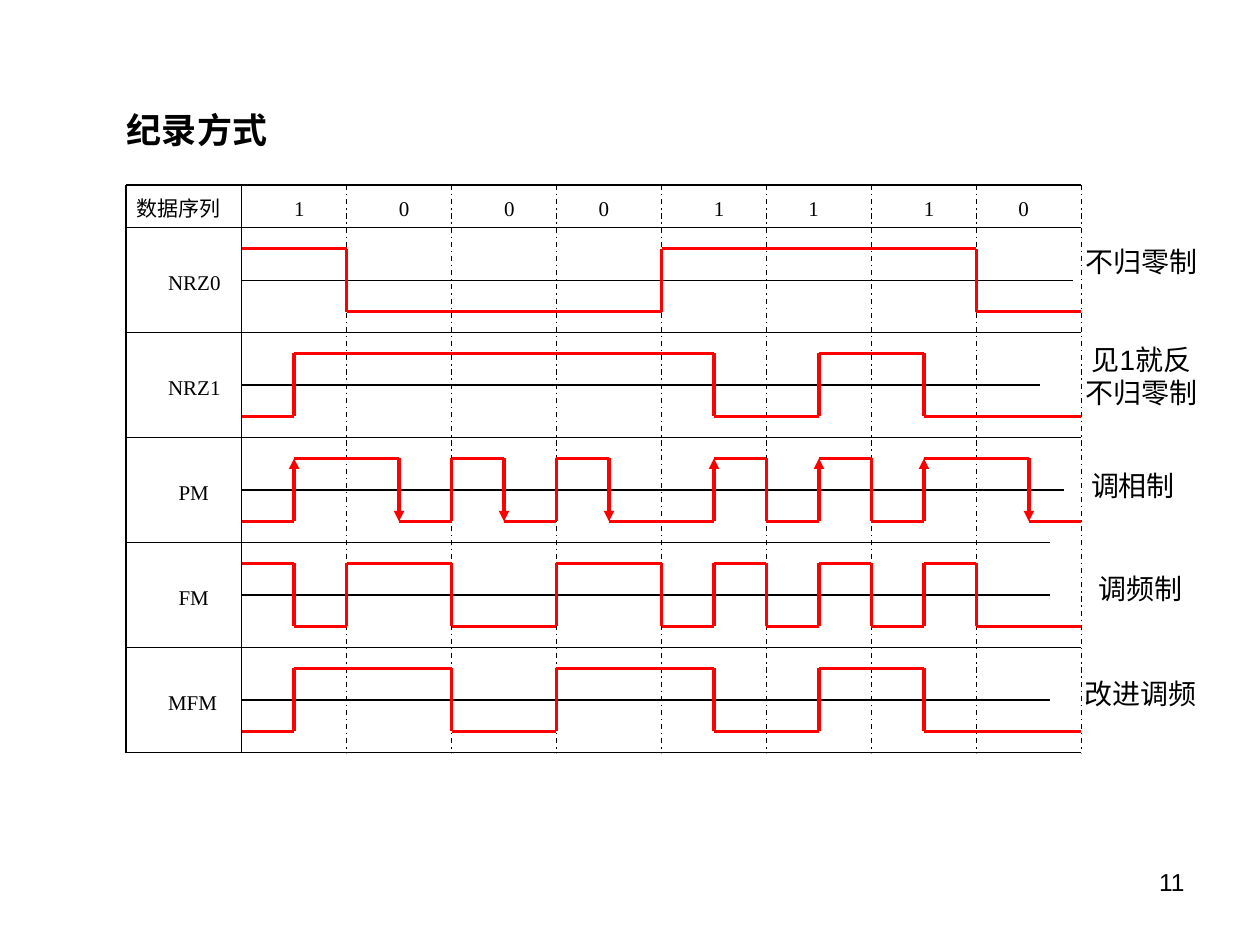
from itertools import groupby
from lxml.etree import SubElement
from pptx import Presentation
from pptx.dml.color import RGBColor
from pptx.enum.dml import MSO_LINE
from pptx.enum.shapes import MSO_CONNECTOR, MSO_SHAPE
from pptx.enum.text import MSO_ANCHOR, MSO_AUTO_SIZE, PP_ALIGN
from pptx.oxml.ns import qn
from pptx.util import Cm, Pt

BLACK = RGBColor(0, 0, 0)
RED = RGBColor(255, 0, 0)
WHITE = RGBColor(255, 255, 255)

LEFT, START, RIGHT = 2.54, 4.87, 21.8
TOP, HEADER_BOTTOM, BOTTOM = 3.73, 4.59, 15.17
HALF_BIT = (RIGHT - START) / 16
ROW = (BOTTOM - HEADER_BOTTOM) / 5
LEVELS = {"H": 0.42, "L": 1.69}
SHORT_END = 21.16

prs = Presentation()
prs.slide_width, prs.slide_height = Cm(25.4), Cm(19.05)
slide = prs.slides.add_slide(prs.slide_layouts[6])


def add_line(x1, y1, x2, y2, color=BLACK, width=0.75):
    line = slide.shapes.add_connector(
        MSO_CONNECTOR.STRAIGHT, Cm(x1), Cm(y1), Cm(x2), Cm(y2))
    line.line.color.rgb = color
    line.line.width = Pt(width)
    SubElement(line._element.spPr, qn("a:effectLst"))
    return line


def add_text(x, y, width, height, text, size, font, inset=True):
    box = slide.shapes.add_textbox(Cm(x), Cm(y), Cm(width), Cm(height))
    frame = box.text_frame
    frame.word_wrap = True
    frame.text = text
    paragraph = frame.paragraphs[0]
    paragraph.font.size = Pt(size)
    paragraph.font.name = font
    paragraph.font.color.rgb = BLACK
    if not inset:
        frame.margin_left = frame.margin_right = 0
        frame.margin_top = frame.margin_bottom = 0
        frame.auto_size = MSO_AUTO_SIZE.SHAPE_TO_FIT_TEXT
        paragraph.space_before = Pt(7.5)
    return frame


heading = add_text(2.31, 2.06, 3.33, 1.12, "纪录方式", 20, "Arial")
heading.word_wrap = False
heading.auto_size = MSO_AUTO_SIZE.SHAPE_TO_FIT_TEXT
heading.paragraphs[0].font.bold = True

for x in (LEFT, START):
    add_line(x, TOP, x, BOTTOM)
for bit in range(1, 9):
    x = START + 2 * bit * HALF_BIT
    add_line(x, TOP, x, BOTTOM).line.dash_style = MSO_LINE.DASH_DOT

add_line(LEFT, TOP, RIGHT, TOP)
for row in range(6):
    y = HEADER_BOTTOM + row * ROW
    add_line(LEFT, y, SHORT_END if row == 3 else RIGHT, y)

encodings = [
    ("NRZ0", 3.39, 1.07, "HHLLLLLLHHHHHHLL", 21.64, "不归零制", 22.4, 5.13),
    ("NRZ1", 3.39, 1.27, "LHHHHHHHHLLHHLLL", 20.96, "见1就反\n不归零制", 22.4, 7.44),
    ("PM", 3.6, 0.85, "LHHLHLHLLHLHLHHL", 21.44, "调相制", 22.23, 9.65),
    ("FM", 3.6, 0.64, "HLHHLLHHLHLHLHLL", SHORT_END, "调频制", 22.38, 11.73),
    ("MFM", 3.39, 1.07, "LHHHLLHHHLLHHLLL", SHORT_END, "改进调频", 22.38, 13.84),
]
for row, (name, name_x, name_width, wave, axis_end, meaning, meaning_x, meaning_y) in enumerate(encodings):
    row_top = HEADER_BOTTOM + row * ROW
    add_line(START, row_top + ROW / 2, axis_end, row_top + ROW / 2)
    high, low = row_top + LEVELS["H"], row_top + LEVELS["L"]
    position = 0
    for level, run in groupby(wave):
        x = START + position * HALF_BIT
        if position:
            edge = add_line(x, high, x, low, RED, 2)
            if name == "PM" and position % 2:
                arrow = "a:headEnd" if level == "H" else "a:tailEnd"
                SubElement(edge.line._get_or_add_ln(), qn(arrow), type="triangle")
        position += len(list(run))
        y = row_top + LEVELS[level]
        add_line(x, y, START + position * HALF_BIT, y, RED, 2)

    add_text(name_x, row_top + 0.85, name_width, 0.51, name, 12, "Times New Roman", False)

    label = slide.shapes.add_shape(
        MSO_SHAPE.RECTANGLE, Cm(meaning_x), Cm(meaning_y), Cm(1.22), Cm(0.28))
    label.shadow.inherit = False
    label.fill.solid()
    label.fill.fore_color.rgb = WHITE
    label.line.color.rgb = WHITE
    label.line.width = Pt(0.75)
    label.text_frame.text = meaning
    label.text_frame.word_wrap = False
    label.text_frame.vertical_anchor = MSO_ANCHOR.MIDDLE
    for paragraph in label.text_frame.paragraphs:
        paragraph.alignment = PP_ALIGN.CENTER
        paragraph.font.size = Pt(16)
        paragraph.font.name = "Arial"
        paragraph.font.color.rgb = BLACK

add_text(2.75, 3.95, 1.91, 0.51, "数据序列", 12, "Times New Roman", False)
for bit, digit in enumerate("10001110"):
    shift = 0.21 if bit in (3, 5, 7) else 0
    add_text(START + (2 * bit + 1) * HALF_BIT - shift, 3.95, 0.43, 0.51,
             digit, 12, "Times New Roman", False)

page_number = add_text(18.2, 17.36, 5.93, 1.32, "11", 14, "Arial")
page_number.paragraphs[0].alignment = PP_ALIGN.RIGHT

prs.save("out.pptx")
